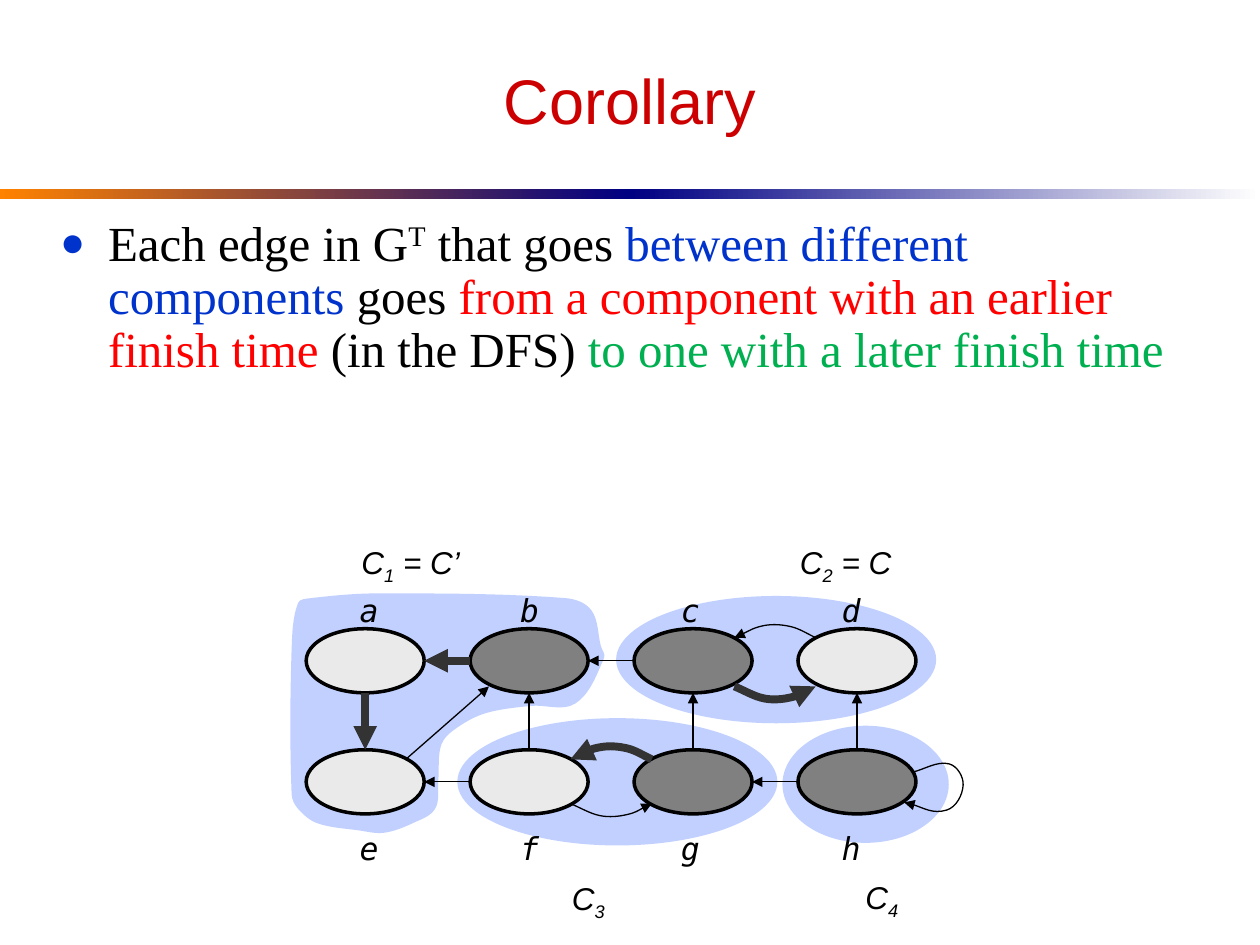
from dataclasses import dataclass
from math import hypot

from lxml import etree
from pptx import Presentation
from pptx import util as u
from pptx.dml.color import RGBColor
from pptx.enum import shapes as kinds, text
from pptx.oxml.ns import qn


@dataclass(frozen=True)
class Theme:
    title: str = "CC0000"
    ink: str = "000000"
    accent: str = "0033CC"
    earlier: str = "FF0000"
    later: str = "00B050"
    band: tuple = ("FF8200", "000082", "FFFFFF")
    region: str = "3366FF"
    light: str = "EAEAEA"
    dark: str = "808080"
    tree_edge: str = "333333"
    sans: str = "Arial"
    serif: str = "Times New Roman"
    mono: str = "DejaVu Sans Mono"
    title_size: int = 36
    body_size: int = 28
    label_size: int = 18


THEME = Theme()


@dataclass(frozen=True)
class Box:
    x: float
    y: float
    w: float
    h: float

    def at(self, fx, fy):
        return self.x + fx * self.w, self.y + fy * self.h

    def percent(self, x, y, w, h):
        left, top = self.at(x / 100, y / 100)
        return Box(left, top, w / 100 * self.w, h / 100 * self.h)

    def emu(self):
        return [u.Inches(v) for v in (self.x, self.y, self.w, self.h)]


PAGE = Box(0, 0, 10, 7.5)


def add_run(paragraph, words, font, size, color, italic=False, baseline=0):
    run = paragraph.add_run()
    run.text = words
    run.font.name, run.font.size, run.font.italic = font, u.Pt(size), italic
    run.font.color.rgb = RGBColor.from_string(color)
    if baseline:
        run.font._element.set("baseline", str(baseline * 1000))


def add_label(shapes, box, parts, font, align=text.PP_ALIGN.LEFT):
    """Italic label; parts are (words, baseline percent)."""
    frame = shapes.add_textbox(*box.emu()).text_frame
    frame.word_wrap = False
    frame.auto_size = text.MSO_AUTO_SIZE.SHAPE_TO_FIT_TEXT
    frame.paragraphs[0].alignment = align
    for words, baseline in parts:
        add_run(frame.paragraphs[0], words, font, THEME.label_size, THEME.ink, True, baseline)


def add_solid(shapes, kind, box, color):
    shape = shapes.add_shape(kind, *box.emu())
    shape.shadow.inherit = False
    shape.fill.solid()
    shape.fill.fore_color.rgb = RGBColor.from_string(color)
    shape.line.fill.background()
    return shape


def make_translucent(shape, percent):
    color = shape._element.spPr.find(qn("a:solidFill"))[0]
    etree.SubElement(color, qn("a:alpha")).set("val", str(percent * 1000))


def style_arrow(edge, bold):
    edge.line.color.rgb = RGBColor.from_string(THEME.tree_edge if bold else THEME.ink)
    edge.line.width = u.Pt(4.5 if bold else 0.75)
    etree.SubElement(edge.line._get_or_add_ln(), qn("a:tailEnd")).set("type", "triangle")


def add_curve(shapes, points, closed=False):
    """Smooth outline through the points, as cubic segments."""
    count = len(points)

    def handle(i, reach):
        before, after = i - 1, i + 1
        if closed:
            before, after = before % count, after % count
        else:
            before, after = max(before, 0), min(after, count - 1)
        dx, dy = (b - a for a, b in zip(points[before], points[after]))
        scale = reach / hypot(dx, dy)
        return points[i][0] + dx * scale, points[i][1] + dy * scale

    steps = []
    for i in range(count if closed else count - 1):
        j = (i + 1) % count
        reach = hypot(points[j][0] - points[i][0], points[j][1] - points[i][1]) / 3
        steps += [handle(i, reach), handle(j, -reach), points[j]]
    start, *steps = [(u.Inches(x), u.Inches(y)) for x, y in [points[0]] + steps]
    builder = shapes.build_freeform(*start)
    builder.add_line_segments(steps, close=closed)
    curve = builder.convert_to_shape()
    curve.shadow.inherit = False
    lines = list(curve._element.iter(qn("a:lnTo")))
    for i in range(0, len(lines), 3):
        cubic = etree.Element(qn("a:cubicBezTo"))
        lines[i].addprevious(cubic)
        for line in lines[i:i + 3]:
            cubic.append(line[0])
            line.getparent().remove(line)
    return curve


def add_band(shapes, box):
    for i in range(2):
        half = add_solid(shapes, kinds.MSO_SHAPE.RECTANGLE, box.percent(50 * i, 0, 50, 100), THEME.ink)
        half.fill.gradient()
        half.fill.gradient_angle = 0
        for stop, color, place in zip(half.fill.gradient_stops, THEME.band[i:], (0, 1)):
            stop.color.rgb = RGBColor.from_string(color)
            stop.position = place


def add_title(slide, box):
    title = slide.shapes.title
    title.left, title.top, title.width, title.height = box.emu()
    title.text_frame.text = "Corollary"
    title.text_frame.vertical_anchor = text.MSO_ANCHOR.MIDDLE
    paragraph = title.text_frame.paragraphs[0]
    paragraph.alignment = text.PP_ALIGN.CENTER
    font = paragraph.runs[0].font
    font.name, font.size = THEME.sans, u.Pt(THEME.title_size)
    font.color.rgb = RGBColor.from_string(THEME.title)


def add_statement(shapes, box):
    frame = shapes.add_textbox(*box.emu()).text_frame
    frame.word_wrap = True
    paragraph = frame.paragraphs[0]
    paragraph.line_spacing, paragraph.space_before = 0.9, u.Pt(7)
    props = paragraph._p.get_or_add_pPr()
    props.set("marL", str(u.Inches(0.38)))
    props.set("indent", str(-u.Inches(0.38)))
    color = etree.SubElement(props, qn("a:buClr"))
    etree.SubElement(color, qn("a:srgbClr")).set("val", THEME.accent)
    etree.SubElement(props, qn("a:buSzPct")).set("val", "85000")
    etree.SubElement(props, qn("a:buFont")).set("typeface", THEME.serif)
    etree.SubElement(props, qn("a:buChar")).set("char", "●")
    for words, color, baseline in (
            ("Each edge in G", THEME.ink, 0), ("T", THEME.ink, 30), (" that goes ", THEME.ink, 0),
            ("between different components", THEME.accent, 0), (" goes ", THEME.ink, 0),
            ("from a component with an earlier finish time", THEME.earlier, 0),
            (" (in the DFS) ", THEME.ink, 0), ("to one with a later finish time", THEME.later, 0)):
        add_run(paragraph, words, THEME.serif, THEME.body_size, color, baseline=baseline)


def add_components(shapes, page):
    bend = page.percent(22.9, 62.8, 25.3, 25.33)
    outline = [(.07, .02), (.28, 0), (.87, .02), (.95, .07), (.98, .22), (.99, .27), (.9, .46),
               (.76, .47), (.62, .5), (.53, .56), (.48, .63), (.47, .78), (.46, .9), (.39, .96),
               (.3, 1), (.22, .99), (.09, .96), (.03, .9), (.01, .84), (.01, .23), (.03, .04)]
    regions = [add_curve(shapes, [bend.at(*point) for point in outline], closed=True)]
    for area in ((62.1, 76.8, 13.2, 12.4), (48.9, 63.07, 25.4, 13.47), (36.3, 76, 25.4, 13.47)):
        regions.append(add_solid(shapes, kinds.MSO_SHAPE.OVAL, page.percent(*area), THEME.region))
    for region in regions:
        region.fill.solid()
        region.fill.fore_color.rgb = RGBColor.from_string(THEME.region)
        region.line.fill.background()
        make_translucent(region, 30)
    for number, rest, x, y, width in (("1", " = C’", 27.7, 56.8, 9.8), ("2", " = C", 62.5, 56.8, 9.5),
                                      ("3", "", 44.4, 92.4, 4.6), ("4", "", 67.7, 92.27, 4.6)):
        parts = [("C", 0), (number, -25)] + ([(rest, 0)] if rest else [])
        add_label(shapes, page.percent(x, y, width, 5.87), parts, THEME.sans)


def add_graph(shapes, box):
    columns, rows = box.w / 3.72, box.h / 1.53
    nodes = {}
    for i, name in enumerate("abcdefgh"):
        row, column = divmod(i, 4)
        nodes[name] = Box(box.x + column * columns, box.y + row * rows, .72 * columns, .53 * rows)
        oval = add_solid(shapes, kinds.MSO_SHAPE.OVAL, nodes[name],
                         THEME.dark if name in "bcgh" else THEME.light)
        oval.line.color.rgb = RGBColor.from_string(THEME.ink)
        oval.line.width = u.Pt(2)
        label = Box(box.x + (.25 + .98 * column) * columns, box.y + (1.6 if row else -.36) * rows,
                    .26 * columns, .42 * rows)
        add_label(shapes, label, [(name, 0)], THEME.mono, text.PP_ALIGN.CENTER)

    left, right, top, bottom = (0, .5), (1, .5), (.5, 0), (.5, 1)
    for start, end, leave, arrive in (
            ("b", "a", left, right), ("c", "b", left, right), ("f", "e", left, right),
            ("h", "g", left, right), ("a", "e", bottom, top), ("f", "b", top, bottom),
            ("g", "c", top, bottom), ("h", "d", top, bottom), ("e", "b", (.85, .14), (.16, .9))):
        ends = nodes[start].at(*leave) + nodes[end].at(*arrive)
        edge = shapes.add_connector(kinds.MSO_CONNECTOR.STRAIGHT, *(u.Inches(v) for v in ends))
        style_arrow(edge, start + end in ("ba", "ae"))
        etree.SubElement(edge._element.spPr, qn("a:effectLst"))

    curves = []
    for first, second, side, sag, leftward, bold in (
            ("f", "g", .15, -1, True, True), ("c", "d", .14, -1, True, False),
            ("c", "d", .9, 1, False, True), ("f", "g", .84, 1, False, False)):
        (x0, y), (x1, _) = nodes[first].at(.85, side), nodes[second].at(.15, side)
        arc = [(x0 + share * (x1 - x0), y + sag * depth * rows)
               for share, depth in ((0, 0), (.37, .1), (.7, .09), (1, 0))]
        curves.append((arc[::-1] if leftward else arc, bold))
    loop = ((.97, .35), (1.28, .22), (1.4, .55), (1.26, .94), (.9, .82))
    curves.append(([nodes["h"].at(*point) for point in loop], False))
    for points, bold in curves:
        curve = add_curve(shapes, points)
        curve.fill.background()
        style_arrow(curve, bold)


def main():
    deck = Presentation()
    deck.slide_width, deck.slide_height = u.Inches(PAGE.w), u.Inches(PAGE.h)
    slide = deck.slides.add_slide(deck.slide_layouts[5])
    add_band(slide.shapes, PAGE.percent(0, 20, 100, 1.07))
    add_title(slide, PAGE.percent(5, 3.33, 90, 14.4))
    add_statement(slide.shapes, PAGE.percent(3.8, 22.53, 90, 33.2))
    add_components(slide.shapes, PAGE)
    add_graph(slide.shapes.add_group_shape().shapes, PAGE.percent(24.3, 66.53, 48.4, 19.6))
    deck.save("out.pptx")


if __name__ == "__main__":
    main()
